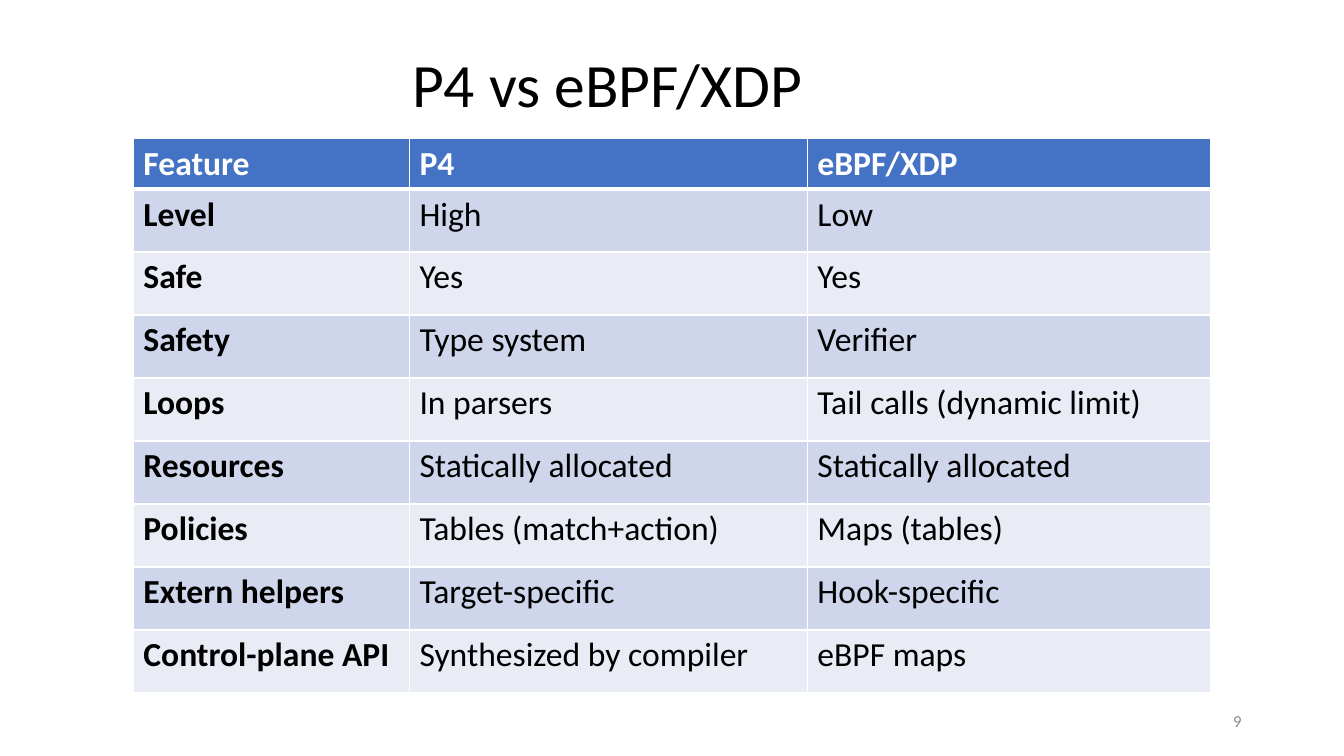
import pptx
import pptx.dml.color
import pptx.enum.text
import pptx.oxml
import pptx.oxml.ns
import pptx.util

EMU_PER_PX = 9525
FONT = "Calibri"
COLORS = {
    "black": "000000",
    "white": "FFFFFF",
    "header": "4472C4",
    "odd_row": "CFD5EA",
    "even_row": "E9EBF5",
    "page_number": "8C8C8C",
}
FEATURES = [
    ("Feature", "P4", "eBPF/XDP"),
    ("Level", "High", "Low"),
    ("Safe", "Yes", "Yes"),
    ("Safety", "Type system", "Verifier"),
    ("Loops", "In parsers", "Tail calls (dynamic limit)"),
    ("Resources", "Statically allocated", "Statically allocated"),
    ("Policies", "Tables (match+action)", "Maps (tables)"),
    ("Extern helpers", "Target-specific", "Hook-specific"),
    ("Control-plane API", "Synthesized by compiler", "eBPF maps"),
]
COLUMN_WIDTHS = (263, 379, 384)
HEADER_HEIGHT = 48
ROW_HEIGHT = 60


def px(length):
    return pptx.util.Emu(length * EMU_PER_PX)


def color(name):
    return pptx.dml.color.RGBColor.from_string(COLORS[name])


def set_attributes(target, values):
    for name, value in values.items():
        setattr(target, name, value)


def write(para, text, size, color_name, bold=False):
    span = para.add_run()
    span.text = text
    set_attributes(
        span.font, {"name": FONT, "size": pptx.util.Pt(size), "bold": bold}
    )
    span.font.color.rgb = color(color_name)


def add_text(page, box, text, size, color_name, **para_format):
    frame = page.shapes.add_textbox(*map(px, box)).text_frame
    set_attributes(
        frame,
        {"word_wrap": True, "vertical_anchor": pptx.enum.text.MSO_ANCHOR.MIDDLE},
    )
    para = frame.paragraphs[0]
    set_attributes(para, para_format)
    write(para, text, size, color_name)


def add_borders(cell, bottom_width, top_width):
    properties = cell._tc.get_or_add_tcPr()
    widths = {"lnL": 1, "lnR": 1, "lnT": top_width, "lnB": bottom_width}
    for position, (side, width) in enumerate(widths.items()):
        line = pptx.oxml.parse_xml(
            f'<a:{side} {pptx.oxml.ns.nsdecls("a")} w="{pptx.util.Pt(width)}">'
            f'<a:solidFill><a:srgbClr val="{COLORS["white"]}"/></a:solidFill>'
            f"</a:{side}>"
        )
        properties.insert(position, line)


def add_feature_table(page, left, top):
    heights = [HEADER_HEIGHT] + [ROW_HEIGHT] * (len(FEATURES) - 1)
    box = (left, top, sum(COLUMN_WIDTHS), sum(heights))
    table = page.shapes.add_table(
        len(FEATURES), len(COLUMN_WIDTHS), *map(px, box)
    ).table
    for column, width in zip(table.columns, COLUMN_WIDTHS):
        column.width = px(width)
    for row_index, (row, texts) in enumerate(zip(table.rows, FEATURES)):
        row.height = px(heights[row_index])
        is_header = row_index == 0
        band = "odd_row" if row_index % 2 else "even_row"
        for column_index, (cell, text) in enumerate(zip(row.cells, texts)):
            cell.fill.solid()
            cell.fill.fore_color.rgb = color("header" if is_header else band)
            add_borders(cell, 3 if is_header else 1, 3 if row_index == 1 else 1)
            write(
                cell.text_frame.paragraphs[0],
                text,
                24,
                "white" if is_header else "black",
                is_header or column_index == 0,
            )


def build_comparison(page):
    add_text(
        page, (383, 14, 435, 139), "P4 vs eBPF/XDP", 44, "black", line_spacing=0.9
    )
    add_feature_table(page, 127, 132)
    add_text(
        page,
        (904, 667, 288, 38),
        "9",
        12,
        "page_number",
        alignment=pptx.enum.text.PP_ALIGN.RIGHT,
    )


def main():
    deck = pptx.Presentation()
    set_attributes(deck, {"slide_width": px(1280), "slide_height": px(720)})
    build_comparison(deck.slides.add_slide(deck.slide_layouts[6]))
    deck.save("out.pptx")


if __name__ == "__main__":
    main()
